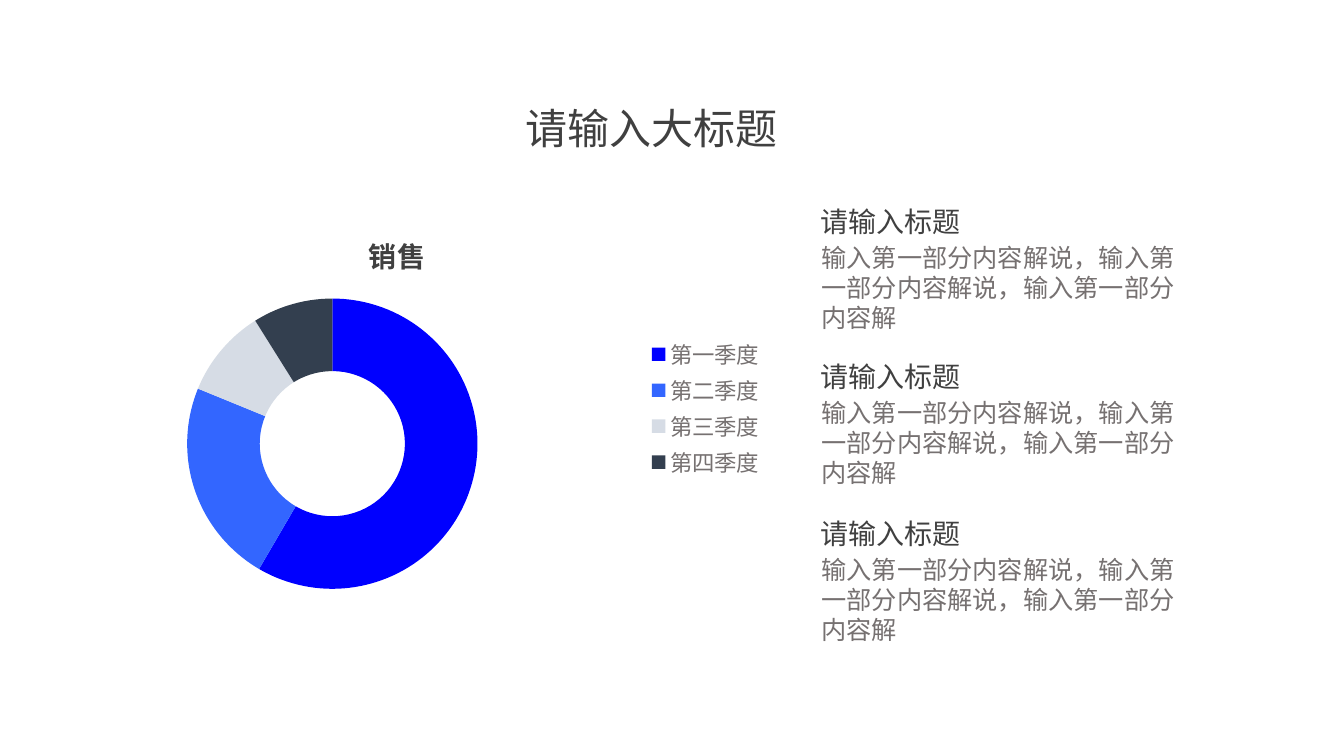
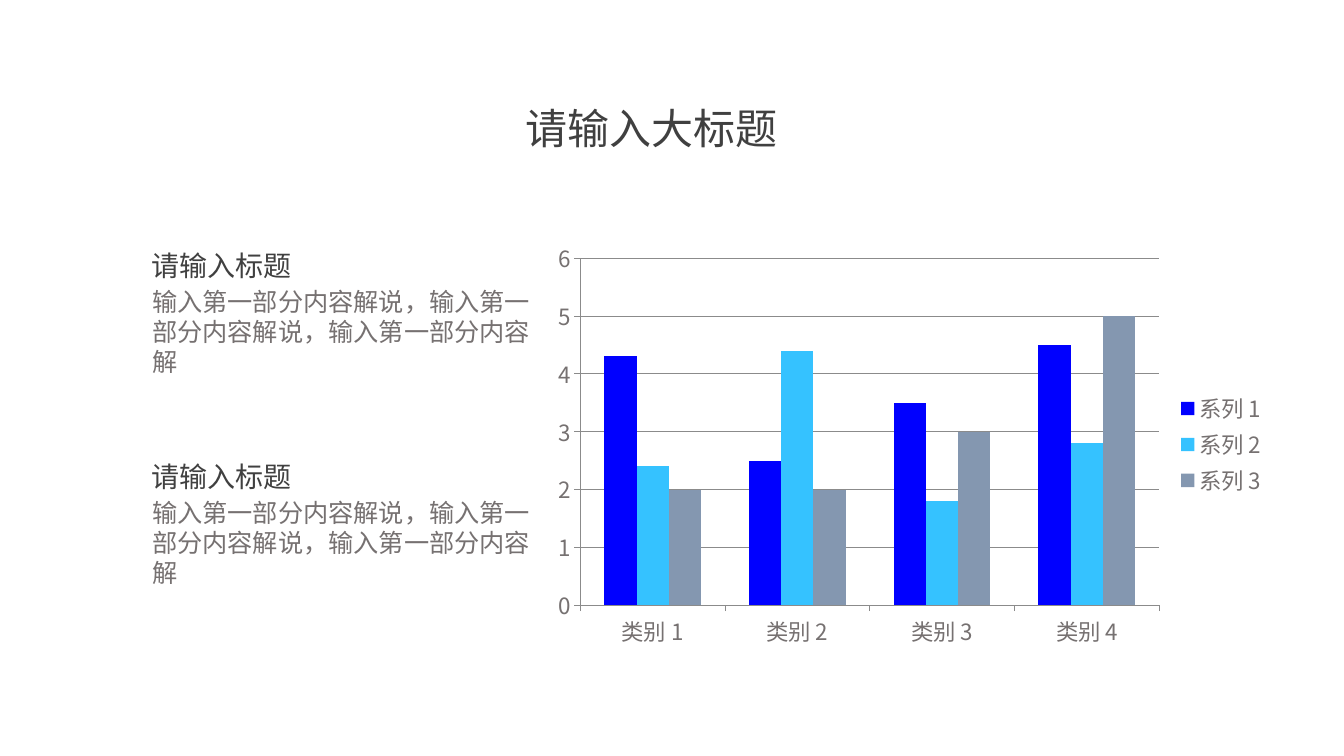
from pptx import Presentation
from pptx.chart.data import CategoryChartData
from pptx.dml.color import RGBColor
from pptx.enum.chart import XL_CHART_TYPE, XL_LEGEND_POSITION, XL_TICK_MARK
from pptx.oxml import parse_xml
from pptx.oxml.ns import nsdecls
from pptx.util import Inches, Pt

RING = XL_CHART_TYPE.DOUGHNUT
COLUMN = XL_CHART_TYPE.COLUMN_CLUSTERED
RIGHT = XL_LEGEND_POSITION.RIGHT
OUT = XL_TICK_MARK.OUTSIDE

# Shared style
FACE = "Arial"
LATIN = "Calibri"
CJK = "Noto Sans CJK JP"
DARK = "404040"
GREY = "767171"
RULE = "8B8B8B"
WHITE = "FFFFFF"

TITLE = "请输入大标题"
HEAD = "请输入标题"
BODY = "，".join(["输入第一部分内容解说"] * 2 + ["输入第一部分内容解"])


def color(code):
    return RGBColor.from_string(code)


def style(font, size, code, face=FACE):
    font.size = Pt(size)
    font.name = face
    font.color.rgb = color(code)


def paint(part, code):
    part.format.fill.solid()
    part.format.fill.fore_color.rgb = color(code)


def add_text(slide, words, box, size, code):
    frame = slide.shapes.add_textbox(*map(Inches, box)).text_frame
    frame.word_wrap = True
    para = frame.paragraphs[0]
    run = para.add_run()
    run.text = words
    style(para.font, size, code)
    # East Asian text takes the same face
    props = run.font._element
    props.append(parse_xml(f'<a:ea {nsdecls("a")} typeface="{FACE}"/>'))


def add_block(slide, left, top, width):
    add_text(slide, HEAD, (left, top, 1.91, 0.43), 20, DARK)
    add_text(slide, BODY, (left + 0.01, top + 0.37, width, 1.3), 18, GREY)


def add_chart(slide, kind, box, cats, series, face):
    data = CategoryChartData()
    data.categories = cats
    for name, values in series:
        data.add_series(name, values)
    chart = slide.shapes.add_chart(kind, *map(Inches, box), data).chart
    style(chart.font, 10, "000000")
    chart.has_title = False
    chart.has_legend = True
    chart.legend.position = RIGHT
    chart.legend.include_in_layout = False
    style(chart.legend.font, 16, GREY, face)
    return chart


def style_axis(axis):
    axis.major_tick_mark = OUT
    style(axis.tick_labels.font, 16, GREY, CJK)
    set_line(axis.format.line)


def set_line(line):
    line.color.rgb = color(RULE)
    line.width = Pt(0.5)


def add_slide(deck):
    slide = deck.slides.add_slide(deck.slide_layouts[6])
    slide.background.fill.solid()
    slide.background.fill.fore_color.rgb = color(WHITE)
    add_text(slide, TITLE, (5.11, 0.97, 2.81, 0.6), 30, DARK)
    return slide


def ring_slide(deck):
    slide = add_slide(deck)
    for top in (1.98, 3.52, 5.08):
        add_block(slide, 8.04, top, 3.94)

    # Sales by quarter
    cats = [f"第{num}季度" for num in "一二三四"]
    chart = add_chart(slide, RING, (0.2, 2.12, 7.48, 3.86), cats,
                      [("销售", (59, 23, 10, 9))], LATIN)
    chart.has_title = True
    para = chart.chart_title.text_frame.paragraphs[0]
    para.text = "销售"
    style(para.font, 20, DARK, LATIN)
    para.font.bold = True
    plot = chart.plots[0]
    plot.vary_by_categories = True
    for idx, code in enumerate(("0000FF", "3366FF", "D6DCE5", "333F4F")):
        paint(plot.series[0].points[idx], code)


def column_slide(deck):
    slide = add_slide(deck)

    # Three series in four groups
    cats = [f"类别 {num}" for num in range(1, 5)]
    rows = ((4.3, 2.5, 3.5, 4.5), (2.4, 4.4, 1.8, 2.8), (2, 2, 3, 5))
    series = [(f"系列 {num}", row) for num, row in enumerate(rows, 1)]
    chart = add_chart(slide, COLUMN, (5.39, 2.32, 7.27, 4.18), cats,
                      series, CJK)
    plot = chart.plots[0]
    plot.vary_by_categories = False
    plot.gap_width = 150
    plot.overlap = 0
    for part, code in zip(plot.series, ("0000FF", "35C2FF", "8497B0")):
        paint(part, code)
    style_axis(chart.category_axis)
    style_axis(chart.value_axis)
    set_line(chart.value_axis.major_gridlines.format.line)

    for top in (2.42, 4.51):
        add_block(slide, 1.4, top, 4)


def main():
    deck = Presentation()
    deck.slide_width = Inches(13.33)
    deck.slide_height = Inches(7.5)
    ring_slide(deck)
    column_slide(deck)
    deck.save("out.pptx")


if __name__ == "__main__":
    main()
